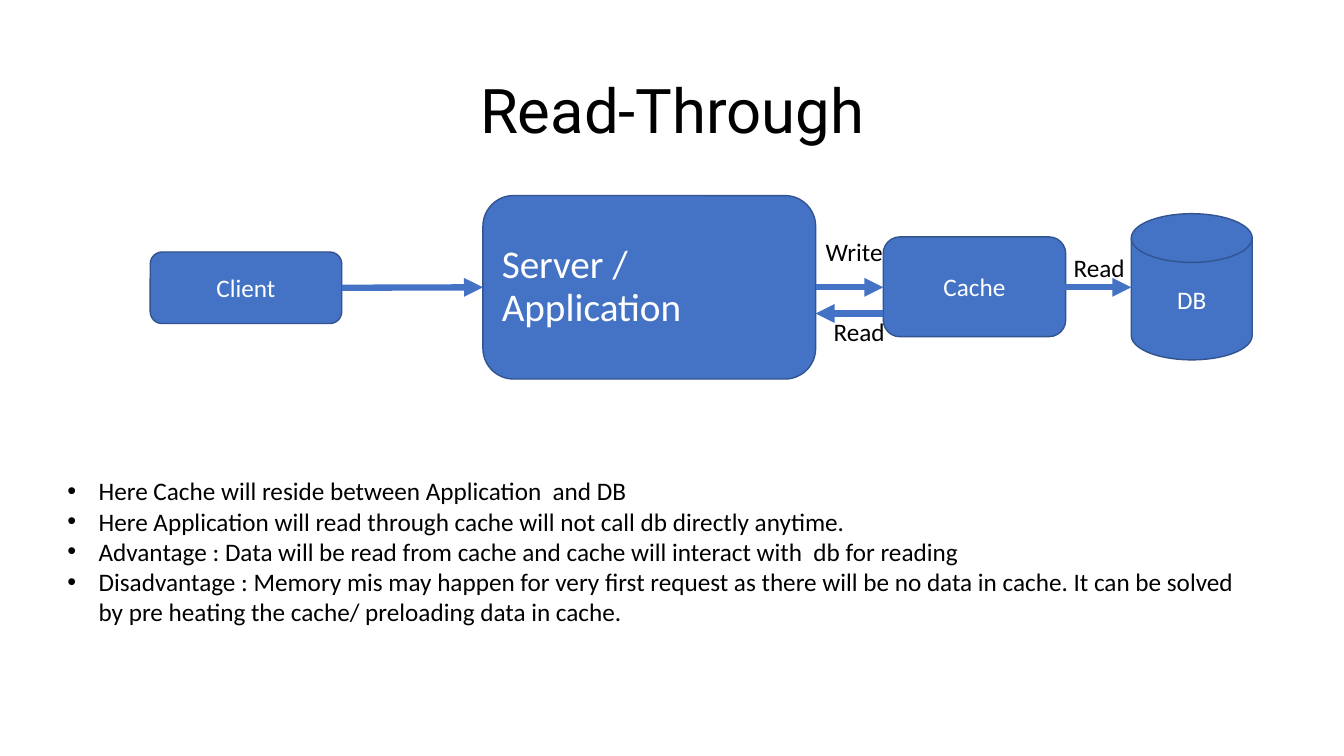
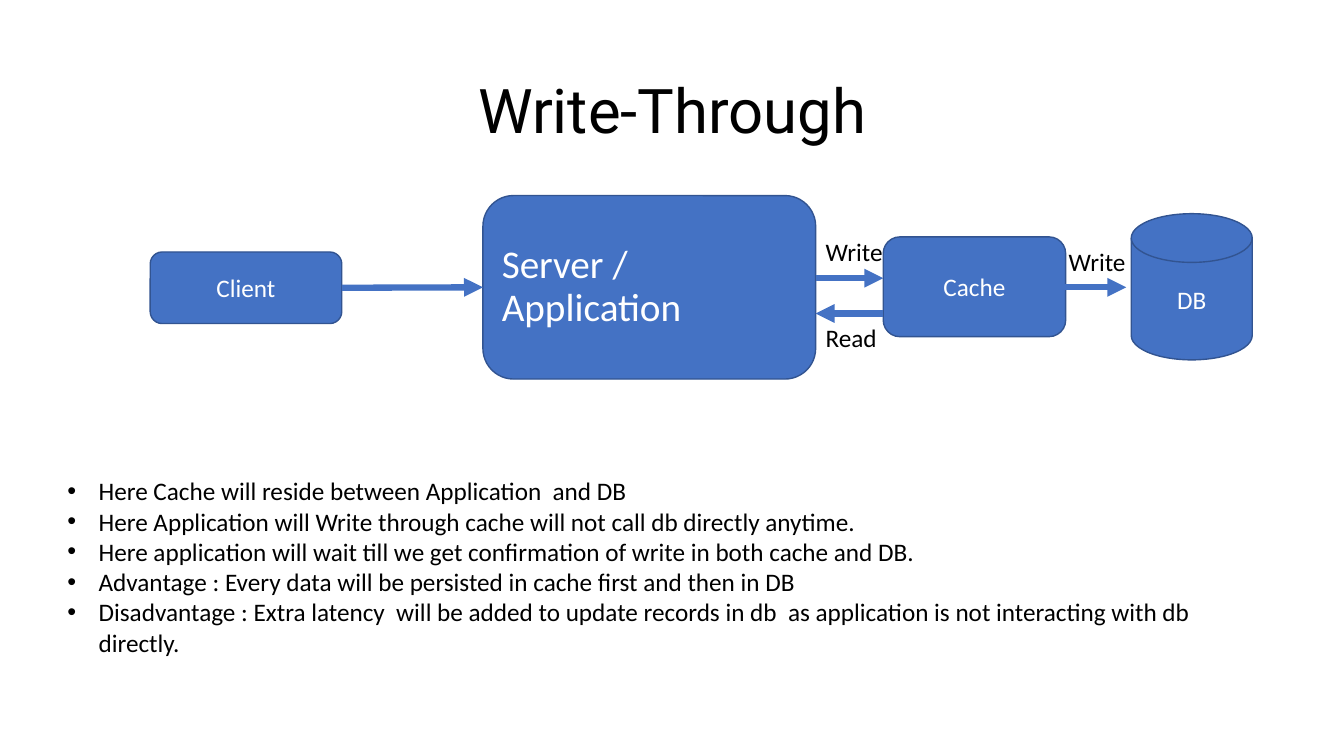
from lxml import etree
from pptx import Presentation
from pptx.dml.color import RGBColor
from pptx.enum.shapes import MSO_CONNECTOR as Connector, MSO_SHAPE as Shape
from pptx.enum.text import MSO_ANCHOR as Anchor, MSO_AUTO_SIZE as AutoSize, PP_ALIGN as Align
from pptx.oxml.ns import qn
from pptx.util import Inches, Pt

BLUE = RGBColor(0x44, 0x72, 0xC4)
EDGE = RGBColor(0x32, 0x54, 0x91)
WHITE = RGBColor(0xFF, 0xFF, 0xFF)
BLACK = RGBColor(0, 0, 0)
BODY_FONT, TITLE_FONT = "Calibri", "Roboto"

WIDTH, HEIGHT = 13.33, 7.5
TITLE_AREA = (0.92, 0.4, 11.5, 1.45)
NOTES_LEFT, NOTES_TOP, NOTES_WIDTH = 0.57, 4.67, 12.03
LINE_HEIGHT, INSET, INDENT = 0.3, 0.05, 0.31
AXIS, RETURN_ROW = 2.85, 3.11  # heights of the outgoing and returning arrows

# name: (text, preset, (left, top, width, height), size, alignment)
NODES = {
    "client": ("Client", Shape.ROUNDED_RECTANGLE, (1.49, 2.5, 1.9, 0.71), 18, Align.CENTER),
    "server": ("Server / Application", Shape.ROUNDED_RECTANGLE, (4.79, 1.94, 3.3, 1.82), 28, Align.LEFT),
    "db": ("DB", Shape.FLOWCHART_MAGNETIC_DISK, (11.22, 2.12, 1.2, 1.45), 18, Align.CENTER),
    "cache": ("Cache", Shape.ROUNDED_RECTANGLE, (8.76, 2.35, 1.81, 0.99), 18, Align.CENTER),
}
SERVER_RIGHT = NODES["server"][2][0] + NODES["server"][2][2]
CACHE_LEFT = NODES["cache"][2][0]
CACHE_EXIT = 10.5
DB_LEFT = NODES["db"][2][0]

# write_row: height of the arrow into the cache; db_tip: end of the arrow to the DB
# labels: (text, left, top)
SLIDES = [
    {
        "title": "Read-Through",
        "write_row": AXIS,
        "db_tip": DB_LEFT,
        "labels": [("Write", 8.09, 2.3), ("Read", 8.17, 3.09), ("Read", 10.55, 2.45)],
        "notes_lines": 5,
        "notes": [
            "Here Cache will reside between Application  and DB",
            "Here Application will read through cache will not call db directly anytime.",
            "Advantage : Data will be read from cache and cache will interact with  db for reading",
            "Disadvantage : Memory mis may happen for very first request as there will be "
            "no data in cache. It can be solved by pre heating the cache/ preloading data in cache.",
        ],
    },
    {
        "title": "Write-Through",
        "write_row": 2.76,
        "db_tip": DB_LEFT - 0.05,
        "labels": [("Write", 8.09, 2.3), ("Read", 8.09, 3.15), ("Write", 10.5, 2.39)],
        "notes_lines": 6,
        "notes": [
            "Here Cache will reside between Application  and DB",
            "Here Application will Write through cache will not call db directly anytime.",
            "Here application will wait till we get confirmation of write in both cache and DB.",
            "Advantage : Every data will be persisted in cache first and then in DB",
            "Disadvantage : Extra latency  will be added to update records in db  as "
            "application is not interacting with db directly.",
        ],
    },
]


def style(para, size, color, font=BODY_FONT, align=Align.LEFT):
    """Align a paragraph and format its runs."""
    para.alignment = align
    for span in para.runs:
        span.font.size = Pt(size)
        span.font.name = font
        span.font.color.rgb = color


def add_text(page, area, lines, size=18, font=BODY_FONT, align=Align.LEFT):
    """Add a wrapping text box with one paragraph per line."""
    box = page.shapes.add_textbox(*map(Inches, area))
    frame = box.text_frame
    frame.word_wrap = True
    frame.text = "\n".join(lines)
    for para in frame.paragraphs:
        style(para, size, BLACK, font, align)
    return frame


def add_title(page, text):
    """Add the centred slide title."""
    frame = add_text(page, TITLE_AREA, [text], 44, TITLE_FONT, Align.CENTER)
    frame.vertical_anchor = Anchor.MIDDLE
    frame.paragraphs[0].line_spacing = 0.9


def add_notes(page, lines, line_count):
    """Add the bulleted explanation below the diagram."""
    height = line_count * LINE_HEIGHT + 2 * INSET
    frame = add_text(page, (NOTES_LEFT, NOTES_TOP, NOTES_WIDTH, height), lines)
    frame.auto_size = AutoSize.SHAPE_TO_FIT_TEXT
    for para in frame.paragraphs:
        props = para._p.get_or_add_pPr()
        props.set("marL", str(Inches(INDENT)))
        props.set("indent", str(-Inches(INDENT)))
        etree.SubElement(props, qn("a:buFont")).set("typeface", "Arial")
        etree.SubElement(props, qn("a:buChar")).set("char", "•")


def add_node(page, text, preset, area, size, align):
    """Add one filled component of the diagram."""
    node = page.shapes.add_shape(preset, *map(Inches, area))
    node.shadow.inherit = False
    node.fill.solid()
    node.fill.fore_color.rgb = BLUE
    node.line.color.rgb = EDGE
    node.line.width = Pt(1)
    frame = node.text_frame
    frame.word_wrap = True
    frame.vertical_anchor = Anchor.MIDDLE
    frame.text = text
    para = frame.paragraphs[0]
    style(para, size, WHITE, align=align)
    if align == Align.LEFT:
        para.line_spacing = 0.9
        para.space_before = Pt(10)
    return node


def add_arrow(page, start, end, row):
    """Add a horizontal arrow at the given height."""
    arrow = page.shapes.add_connector(Connector.STRAIGHT, *map(Inches, (start, row, end, row)))
    arrow.line.color.rgb = BLUE
    arrow.line.width = Pt(4.5)
    etree.SubElement(arrow.line._get_or_add_ln(), qn("a:tailEnd")).set("type", "triangle")
    etree.SubElement(arrow._element.spPr, qn("a:effectLst"))
    return arrow


def add_diagram(page, content):
    """Add the components, the arrows between them and their labels."""
    nodes = {name: add_node(page, *node) for name, node in NODES.items()}
    request = add_arrow(page, 0, 1, AXIS)
    request.begin_connect(nodes["client"], 3)
    request.end_connect(nodes["server"], 1)
    add_arrow(page, SERVER_RIGHT, CACHE_LEFT, content["write_row"])
    add_arrow(page, CACHE_EXIT, content["db_tip"], AXIS)
    add_arrow(page, CACHE_LEFT, SERVER_RIGHT, RETURN_ROW)
    for text, left, top in content["labels"]:
        frame = add_text(page, (left, top, 0.95 if text == "Write" else 1.03, 0.4), [text])
        frame.auto_size = AutoSize.SHAPE_TO_FIT_TEXT


def main():
    """Build and save the deck."""
    deck = Presentation()
    deck.slide_width, deck.slide_height = Inches(WIDTH), Inches(HEIGHT)
    for content in SLIDES:
        page = deck.slides.add_slide(deck.slide_layouts[6])
        add_title(page, content["title"])
        add_diagram(page, content)
        add_notes(page, content["notes"], content["notes_lines"])
    deck.save("out.pptx")


main()
